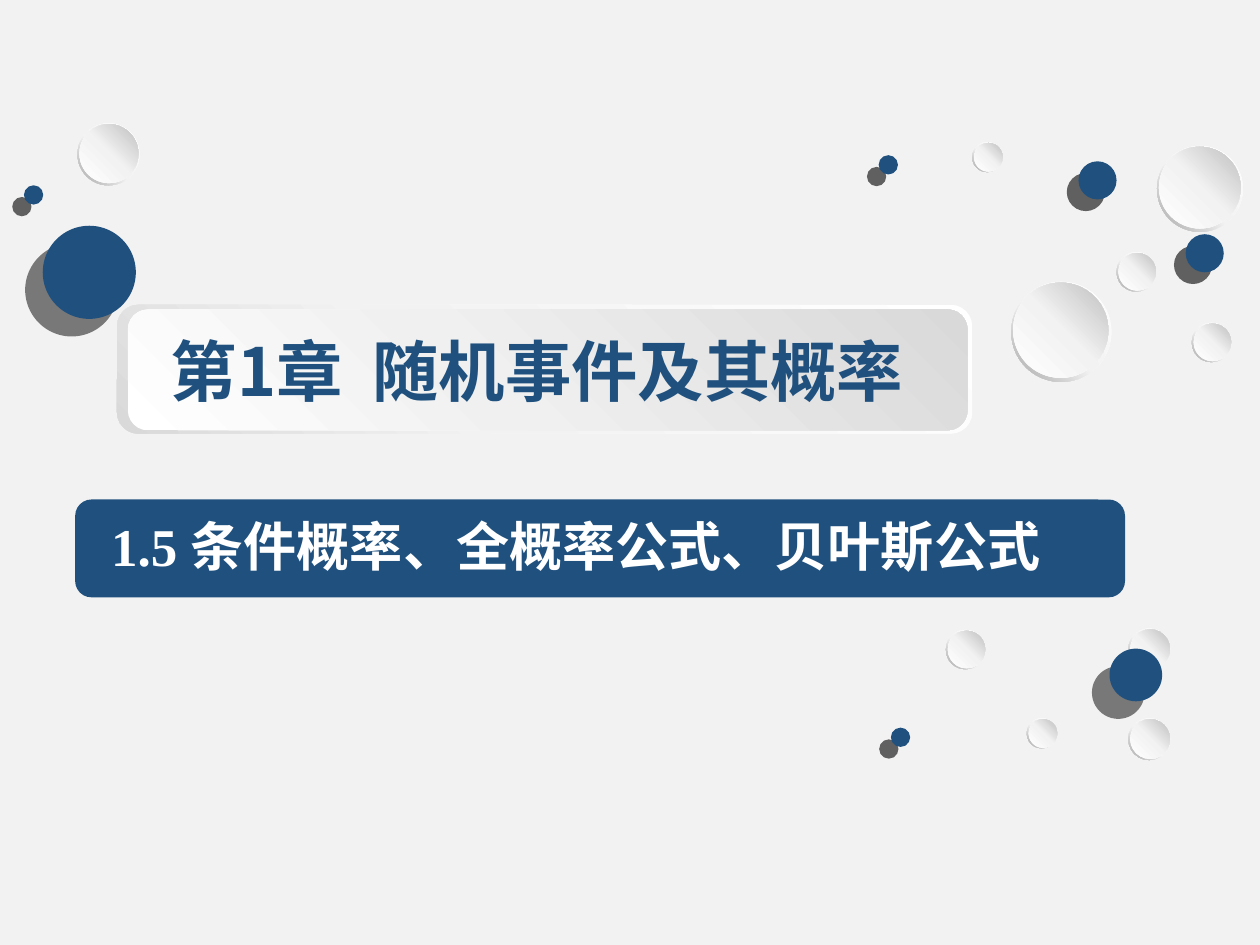
from lxml.etree import SubElement
from pptx import Presentation
from pptx.dml.color import RGBColor
from pptx.enum.shapes import MSO_SHAPE
from pptx.enum.text import MSO_ANCHOR, PP_ALIGN
from pptx.oxml.ns import qn
from pptx.util import Cm, Pt

BACKGROUND = RGBColor(0xF2, 0xF2, 0xF2)
NAVY = RGBColor(0x20, 0x51, 0x7E)
WHITE = RGBColor(0xFF, 0xFF, 0xFF)
SILVER = RGBColor(0xF0, 0xF0, 0xF0)
LIGHT_GRAY = RGBColor(0xD9, 0xD9, 0xD9)
MID_GRAY = RGBColor(0xBF, 0xBF, 0xBF)
DARK_GRAY = RGBColor(0xA6, 0xA6, 0xA6)
BLACK = RGBColor(0, 0, 0)

CJK_FONT = "Noto Sans CJK SC"
LATIN_FONT = "Times New Roman"

TO_LOWER_LEFT, TO_UPPER_RIGHT = 135, 315
RIM_STOPS = [(0, WHITE), (55, BACKGROUND), (100, DARK_GRAY)]
DOME_STOPS = [(0, WHITE), (51, BACKGROUND), (100, MID_GRAY)]
FRAME_STOPS = [(0, WHITE), (62, BACKGROUND), (100, LIGHT_GRAY)]
PLATE_STOPS = [(0, WHITE), (42, SILVER), (100, LIGHT_GRAY)]

# left, top, diameter in cm
BUBBLES = [
    (24, 13.36, 0.89), (24.61, 3.1, 1.83), (21.84, 15.27, 0.64),
    (20.12, 13.39, 0.84), (1.65, 2.62, 1.32), (24, 15.27, 0.89),
    (20.68, 3.02, 0.64), (25.35, 6.86, 0.84), (21.51, 5.99, 2.13),
    (23.75, 5.36, 0.84),
]
# left, top, diameter in cm, shadow distance in points, shadow opacity in percent
BALLS = [
    (0.91, 4.8, 1.98, 15, 50), (22.94, 3.43, 0.81, 10, 60),
    (25.22, 4.98, 0.81, 10, 60), (0.51, 3.94, 0.41, 10, 60),
    (23.6, 13.79, 1.12, 15, 50), (18.69, 3.3, 0.41, 10, 60),
    (18.95, 15.47, 0.41, 10, 60),
]


def add_plain(slide, kind, left, top, width, height):
    shape = slide.shapes.add_shape(kind, Cm(left), Cm(top), Cm(width), Cm(height))
    shape.shadow.inherit = False
    shape.line.fill.background()
    return shape


def fill_solid(shape, color):
    shape.fill.solid()
    shape.fill.fore_color.rgb = color


def fill_gradient(shape, stops, angle):
    """Fill with (percent, colour) stops along a clockwise angle in degrees."""
    shape.fill.gradient()
    gradient = shape._element.spPr.find(qn("a:gradFill"))
    for child in list(gradient):
        gradient.remove(child)
    stop_list = SubElement(gradient, qn("a:gsLst"))
    for percent, color in stops:
        stop = SubElement(stop_list, qn("a:gs"), pos=str(percent * 1000))
        SubElement(stop, qn("a:srgbClr"), val=str(color))
    SubElement(gradient, qn("a:lin"), ang=str(angle * 60000), scaled="0")


def cast_shadow(shape, distance, opacity):
    """Add a sharp shadow towards the lower left."""
    effects = shape._element.spPr.find(qn("a:effectLst"))
    shadow = SubElement(effects, qn("a:outerShdw"), blurRad="0",
                        dist=str(Pt(distance)), dir=str(TO_LOWER_LEFT * 60000),
                        algn="ctr", rotWithShape="0")
    color = SubElement(shadow, qn("a:srgbClr"), val=str(BLACK))
    SubElement(color, qn("a:alpha"), val=str(opacity * 1000))


def add_bubble(slide, left, top, size):
    rim = add_plain(slide, MSO_SHAPE.DONUT, left, top, size, size)
    rim.adjustments[0] = 0.05
    fill_gradient(rim, RIM_STOPS, TO_LOWER_LEFT)
    dome_size = size * 0.95
    dome = add_plain(slide, MSO_SHAPE.OVAL, left + 0.04, top + 0.02, dome_size, dome_size)
    fill_gradient(dome, DOME_STOPS, TO_UPPER_RIGHT)


def add_ball(slide, left, top, size, distance, opacity):
    ball = add_plain(slide, MSO_SHAPE.OVAL, left, top, size, size)
    fill_solid(ball, NAVY)
    cast_shadow(ball, distance, opacity)


def add_heading(slide, text, box, size, font_name, color, align):
    heading = slide.shapes.add_textbox(*map(Cm, box))
    frame = heading.text_frame
    frame.word_wrap = True
    frame.vertical_anchor = MSO_ANCHOR.TOP
    frame.text = text
    paragraph = frame.paragraphs[0]
    paragraph.alignment = align
    for run in paragraph.runs:
        run.font.size = Pt(size)
        run.font.bold = True
        run.font.name = font_name
        run.font.color.rgb = color
        SubElement(run.font._element, qn("a:ea"), typeface=CJK_FONT)
    return frame


def add_chapter_title(slide):
    frame = add_plain(slide, MSO_SHAPE.ROUNDED_RECTANGLE, 2.49, 6.48, 18.19, 2.74)
    fill_gradient(frame, FRAME_STOPS, TO_LOWER_LEFT)
    plate = add_plain(slide, MSO_SHAPE.ROUNDED_RECTANGLE, 2.72, 6.58, 17.86, 2.57)
    fill_gradient(plate, PLATE_STOPS, TO_UPPER_RIGHT)
    title = add_heading(slide, "第1章  随机事件及其概率", (2.29, 6.83, 18.26, 2.08),
                        40, CJK_FONT, NAVY, PP_ALIGN.CENTER)
    title.margin_left = title.margin_right = Cm(0.36)
    title.margin_top = title.margin_bottom = Cm(0.18)


def add_section_title(slide):
    banner = add_plain(slide, MSO_SHAPE.ROUNDED_RECTANGLE, 1.6, 10.62, 22.33, 2.08)
    fill_solid(banner, NAVY)
    add_heading(slide, " 1.5 条件概率、全概率公式、贝叶斯公式", (1.83, 10.8, 21.69, 3),
                32, LATIN_FONT, WHITE, PP_ALIGN.LEFT)


def main():
    prs = Presentation()
    prs.slide_width, prs.slide_height = Cm(26.8), Cm(20.09)
    slide = prs.slides.add_slide(prs.slide_layouts[6])
    fill_solid(slide.background, BACKGROUND)
    for bubble in BUBBLES:
        add_bubble(slide, *bubble)
    for ball in BALLS:
        add_ball(slide, *ball)
    add_chapter_title(slide)
    add_section_title(slide)
    prs.save("out.pptx")


if __name__ == "__main__":
    main()
